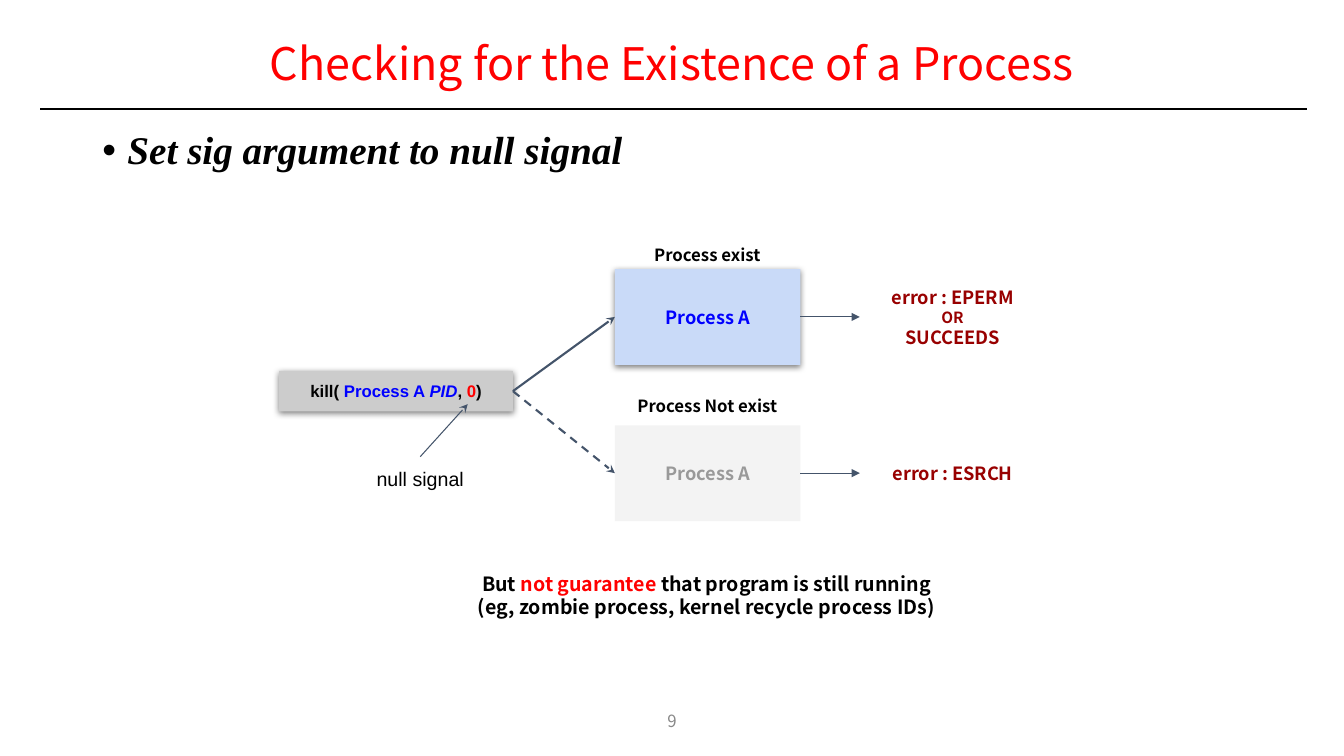
import pptx
import pptx.util
import pptx.dml.color
import pptx.enum.dml
import pptx.enum.shapes
import pptx.enum.text
import pptx.oxml
import pptx.oxml.ns
from dataclasses import dataclass

Pt = pptx.util.Pt
Align = pptx.enum.text.PP_ALIGN
Anchor = pptx.enum.text.MSO_ANCHOR


@dataclass(frozen=True)
class Theme:
    sans: str = "Noto Sans CJK KR"
    arial: str = "Arial"
    serif: str = "Times New Roman"
    black: str = "000000"
    red: str = "FF0000"
    blue: str = "0000FF"
    maroon: str = "980000"
    slate: str = "44546A"
    mute: str = "999999"
    page: str = "888888"
    call: str = "CCCCCC"
    live: str = "C9DAF8"
    gone: str = "F3F3F3"
    title: float = 32
    lead: float = 28
    note: float = 14
    node: float = 13
    label: float = 12
    small: float = 11


def color(code):
    return pptx.dml.color.RGBColor.from_string(code)


def add_xml(parent, text):
    """Append a DrawingML element, written without its namespace."""
    head, rest = text.split(" ", 1)
    space = pptx.oxml.ns.nsdecls("a")
    node = pptx.oxml.parse_xml(f"{head} {space} {rest}")
    parent.append(node)


class Deck:
    def __init__(self, theme):
        self.theme = theme
        self.show = pptx.Presentation()
        self.show.slide_width, self.show.slide_height = Pt(960), Pt(540)
        self.slide = self.show.slides.add_slide(self.show.slide_layouts[5])

    def put(self, shape, lines, size, font=None, bold=True, pad=7.2,
            side=7.2, anchor=Anchor.TOP, align=Align.CENTER):
        """Fill a shape with lines of (text, colour, changes) runs."""
        frame = shape.text_frame
        frame.word_wrap = True
        frame.auto_size = pptx.enum.text.MSO_AUTO_SIZE.NONE
        frame.vertical_anchor = anchor
        frame.margin_left = frame.margin_right = Pt(side)
        frame.margin_top = frame.margin_bottom = Pt(pad)
        for i, line in enumerate(lines):
            para = frame.add_paragraph() if i else frame.paragraphs[0]
            para.alignment = align
            for text, code, *more in line:
                look = more[0] if more else {}
                run = para.add_run()
                run.text = text
                run.font.name = font or self.theme.sans
                run.font.size = Pt(look.get("size", size))
                run.font.bold = bold
                run.font.italic = look.get("italic", False)
                run.font.color.rgb = color(code)
        return shape

    def title(self, text, box):
        shape = self.slide.shapes.title
        shape.left, shape.top, shape.width, shape.height = map(Pt, box)
        self.put(shape, [[(text, self.theme.red)]], self.theme.title,
                 bold=False, pad=3.6, anchor=Anchor.MIDDLE)
        shape.text_frame.paragraphs[0].line_spacing = 0.9

    def text(self, box, lines, size, **style):
        shape = self.slide.shapes.add_textbox(*map(Pt, box))
        return self.put(shape, lines, size, **style)

    def bullet(self, box, text):
        ink = self.theme.black
        shape = self.text(box, [[(text, ink, {"italic": True})]],
                          self.theme.lead, font=self.theme.serif,
                          pad=3.6, align=Align.LEFT)
        para = shape.text_frame.paragraphs[0]
        para.line_spacing = 0.9
        props = para._p.get_or_add_pPr()
        props.set("marL", str(Pt(18)))
        props.set("indent", str(Pt(-18)))
        add_xml(props, f'<a:buClr ><a:srgbClr val="{ink}"/></a:buClr>')
        add_xml(props, '<a:buFont typeface="Arial"/>')
        add_xml(props, '<a:buChar char="•"/>')

    def rect(self, box, fill, lines, size, shadow=True, **style):
        kind = pptx.enum.shapes.MSO_SHAPE.RECTANGLE
        shape = self.slide.shapes.add_shape(kind, *map(Pt, box))
        shape.fill.solid()
        shape.fill.fore_color.rgb = color(fill)
        shape.line.fill.background()
        shape.shadow.inherit = False
        if shadow:
            glow = shape._element.spPr.find(pptx.oxml.ns.qn("a:effectLst"))
            add_xml(glow, f'<a:outerShdw blurRad="{Pt(4.5)}" dist="{Pt(1.5)}" '
                    'dir="5400000" algn="ctr" rotWithShape="0">'
                    f'<a:srgbClr val="{self.theme.black}">'
                    '<a:alpha val="50000"/></a:srgbClr></a:outerShdw>')
        return self.put(shape, lines, size, **style)

    def line(self, start, end, code, width, tip=None, dash=False):
        """Draw a line; each end is an (x, y) point or a (shape, side) pair."""
        kind = pptx.enum.shapes.MSO_CONNECTOR.STRAIGHT
        wire = self.slide.shapes.add_connector(kind, 0, 0, 0, 0)
        if isinstance(start[0], (int, float)):
            wire.begin_x, wire.begin_y = map(Pt, start)
        else:
            wire.begin_connect(*start)
        if isinstance(end[0], (int, float)):
            wire.end_x, wire.end_y = map(Pt, end)
        else:
            wire.end_connect(*end)
        wire.line.color.rgb = color(code)
        wire.line.width = Pt(width)
        if dash:
            wire.line.dash_style = pptx.enum.dml.MSO_LINE.DASH
        if tip:
            edge = wire._element.spPr.find(pptx.oxml.ns.qn("a:ln"))
            add_xml(edge, f'<a:tailEnd type="{tip}"/>')
        add_xml(wire._element.spPr, "<a:effectLst />")


def main():
    look = Theme()
    deck = Deck(look)
    deck.title("Checking for the Existence of a Process", (66, 21, 828, 52.5))
    deck.line((28.8, 77.8), (933.8, 77.8), look.black, 1.5)
    deck.text((372, 500.4, 216, 28.8), [[("9", look.page)]], look.label,
              bold=False, pad=3.6, anchor=Anchor.MIDDLE)
    deck.bullet((66, 90, 828, 38), "Set sig argument to null signal")

    call = deck.rect((199.4, 265, 167, 28.8), look.call, [[
        ("kill( ", look.black), ("Process A ", look.blue),
        ("PID", look.blue, {"italic": True}), (", ", look.black),
        ("0", look.red), (")", look.black)]], look.label, font=look.arial)
    call.text_frame.paragraphs[0].space_before = Pt(5)

    mid = {"anchor": Anchor.MIDDLE}
    wide, high = 132.5, 68.4
    cases = [
        ("Process exist", 167.8, 192.2, look.live, look.blue, True,
         [[("error : EPERM", look.maroon)],
          [("OR", look.maroon, {"size": look.small})],
          [("SUCCEEDS", look.maroon)]]),
        ("Process Not exist", 275.8, 303.8, look.gone, look.mute, False,
         [[("error : ESRCH", look.maroon)]]),
    ]
    for name, above, top, fill, ink, alive, result in cases:
        node = deck.rect((439.2, top, wide, high), fill,
                         [[("Process A", ink)]], look.node,
                         shadow=alive, **mid)
        deck.text((439, above, wide, 28.8), [[(name, look.black)]], look.label)
        out = deck.text((614.2, top, wide, high), result, look.node, **mid)
        deck.line((call, 3), (node, 1), look.slate, 1.5, "stealth", not alive)
        deck.line((node, 3), (out, 1), look.slate, 0.75, "triangle")

    null = deck.text((246.2, 326.2, 108, 31.7), [[("null signal", look.black)]],
                     look.note, font=look.arial, bold=False)
    deck.line((null, 0), (334.1, 288.7), look.slate, 0.75, "stealth")
    deck.text((326.9, 401, 355.7, 48.2), [
        [("But ", look.black), ("not guarantee", look.red),
         (" that program is still running", look.black)],
        [("(eg, zombie process, kernel recycle process IDs)", look.black)],
    ], look.note)
    deck.show.save("out.pptx")


if __name__ == "__main__":
    main()
